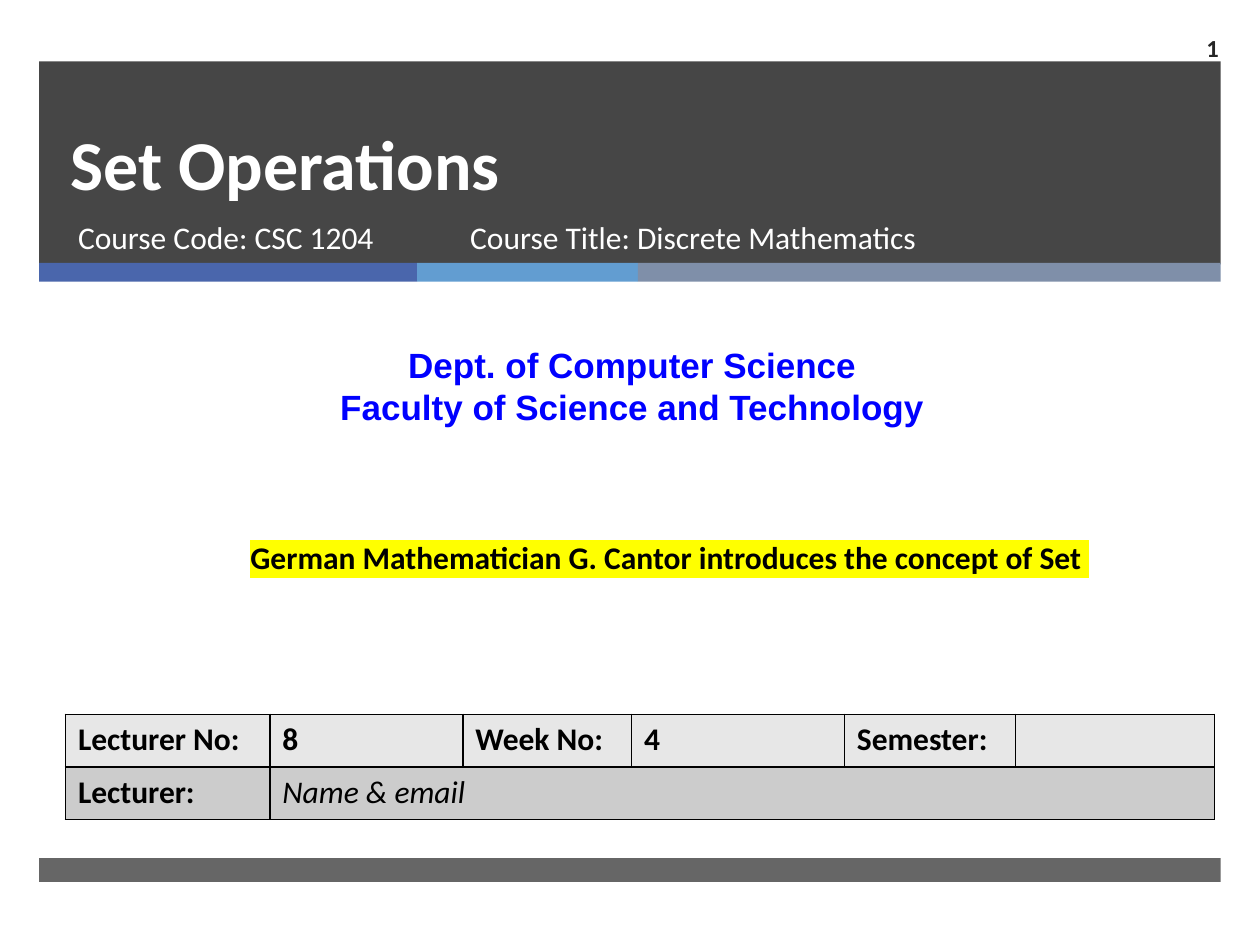
from lxml import etree
from pptx import Presentation
from pptx import util as u
from pptx.dml.color import RGBColor
from pptx.enum import shapes, text
from pptx.oxml import ns

WHITE = RGBColor(0xFF, 0xFF, 0xFF)
BLACK = RGBColor(0, 0, 0)
CHARCOAL = RGBColor(0x26, 0x26, 0x26)
INDIGO = RGBColor(0x4A, 0x66, 0xAC)
SKY = RGBColor(0x62, 0x9D, 0xD1)
SLATE = RGBColor(0x7F, 0x8F, 0xA9)
BLUE = RGBColor(0, 0, 0xFF)
YELLOW = RGBColor(0xFF, 0xFF, 0)
LIGHT_GREY = RGBColor(0xE7, 0xE7, 0xE7)
MID_GREY = RGBColor(0xCC, 0xCC, 0xCC)

LEFT, WIDTH = 0.79, 23.82


def add_xml(parent, tag, **attributes):
    return etree.SubElement(parent, ns.qn(tag), attributes)


class SlideBuilder:
    def __init__(self, slide, font="Calibri", size=18):
        self.slide = slide
        self.font = font
        self.size = size

    def style(self, paragraph, color, size=None, bold=False, italic=False,
              font=None, align=text.PP_ALIGN.LEFT):
        paragraph.alignment = align
        paragraph.space_before = u.Pt(0)
        paragraph.font.name = font or self.font
        paragraph.font.size = u.Pt(size or self.size)
        paragraph.font.bold = bold
        paragraph.font.italic = italic
        paragraph.font.color.rgb = color

    def bar(self, left, top, width, height, color, opacity=100):
        shape = self.slide.shapes.add_shape(
            shapes.MSO_SHAPE.RECTANGLE,
            u.Cm(left), u.Cm(top), u.Cm(width), u.Cm(height))
        shape.shadow.inherit = False
        shape.line.fill.background()
        shape.fill.solid()
        shape.fill.fore_color.rgb = color
        if opacity < 100:
            fill_color = shape._element.spPr.find(".//" + ns.qn("a:srgbClr"))
            add_xml(fill_color, "a:alpha", val=str(opacity * 1000))

    def fill_text(self, shape, lines, color, anchor=text.MSO_ANCHOR.TOP, **style):
        frame = shape.text_frame
        frame.auto_size = text.MSO_AUTO_SIZE.NONE
        frame.word_wrap = True
        frame.vertical_anchor = anchor
        frame.text = "\n".join(lines)
        for paragraph in frame.paragraphs:
            self.style(paragraph, color, **style)
        return frame

    def placeholder(self, shape, box, line, color, **style):
        shape.left, shape.top, shape.width, shape.height = map(u.Cm, box)
        # Appending again moves the placeholder in front of the bars
        self.slide.shapes._spTree.append(shape._element)
        return self.fill_text(shape, [line], color, **style)

    def text_box(self, box, lines, color, **style):
        shape = self.slide.shapes.add_textbox(*map(u.Cm, box))
        return self.fill_text(shape, lines, color, **style)

    def highlight(self, frame, color):
        for run in frame.paragraphs[0].runs:
            mark = add_xml(run._r.get_or_add_rPr(), "a:highlight")
            add_xml(mark, "a:srgbClr", val=str(color))

    def slide_number(self, box, **style):
        frame = self.text_box(box, [""], CHARCOAL, **style)
        field = add_xml(frame.paragraphs[0]._p, "a:fld", type="slidenum",
                        id="{B6F15528-21DE-4FAA-801E-634DDDAF4B2B}")
        add_xml(field, "a:rPr", lang="en-US")
        add_xml(field, "a:t").text = "1"

    def cell(self, cell, words, fill, **style):
        properties = cell._tc.get_or_add_tcPr()
        for side in ("a:lnL", "a:lnR", "a:lnT", "a:lnB"):
            border = add_xml(properties, side, w=str(u.Pt(1)))
            add_xml(add_xml(border, "a:solidFill"), "a:srgbClr", val=str(BLACK))
        cell.fill.solid()
        cell.fill.fore_color.rgb = fill
        cell.text = words
        self.style(cell.text_frame.paragraphs[0], BLACK, **style)

    def table(self, left, top, widths, row_height, rows, fills):
        table = self.slide.shapes.add_table(
            len(rows), len(widths), u.Cm(left), u.Cm(top),
            u.Cm(sum(widths)), u.Cm(row_height * len(rows))).table
        table.first_row = table.horz_banding = False
        for column, width in zip(table.columns, widths):
            column.width = u.Cm(width)
        for row_index, (row, fill) in enumerate(zip(rows, fills)):
            table.rows[row_index].height = u.Cm(row_height)
            for column_index, words in enumerate(row):
                self.cell(table.cell(row_index, column_index), words, fill, bold=True)
        return table


def main():
    presentation = Presentation()
    presentation.slide_width, presentation.slide_height = u.Cm(25.4), u.Cm(19.05)
    slide = presentation.slides.add_slide(presentation.slide_layouts[0])
    title, subtitle = slide.placeholders
    builder = SlideBuilder(slide)

    # Header band, three-colour strip and footer
    builder.bar(LEFT, 1.24, WIDTH, 4.09, CHARCOAL, 85)
    strip_left = LEFT
    for width, color in ((7.62, INDIGO), (4.45, SKY), (11.75, SLATE)):
        builder.bar(strip_left, 5.3, width, 0.38, color)
        strip_left += width
    builder.bar(LEFT, 17.3, WIDTH, 0.48, CHARCOAL, 70)

    # Title and course details
    heading = builder.placeholder(title, (1.17, 1.24, 21.69, 3.02), "Set Operations", WHITE,
                                  size=40, bold=True, anchor=text.MSO_ANCHOR.BOTTOM)
    heading.paragraphs[0].line_spacing = u.Pt(46)
    builder.placeholder(subtitle, (1.32, 4.27, 7.75, 1.35), "Course Code: CSC 1204", WHITE)
    builder.text_box((9.23, 4.27, 11.56, 1.35),
                     ["Course Title: Discrete Mathematics"], WHITE)

    # Department
    builder.text_box((0.21, 6.8, 25.07, 1.96),
                     ["Dept. of Computer Science", "Faculty of Science and Technology"],
                     BLUE, size=20, bold=True, font="Arial", align=text.PP_ALIGN.CENTER)

    # Lecture details
    table = builder.table(
        1.32, 14.4, (4.12, 3.89, 3.4, 4.29, 3.45, 4.01), 1.06,
        (("Lecturer No:", "8", "Week No:", "4", "Semester:", ""),
         ("Lecturer:", "Name & email", "", "", "", "")),
        (LIGHT_GREY, MID_GREY))
    contact = table.cell(1, 1)
    contact.merge(table.cell(1, 5))
    builder.style(contact.text_frame.paragraphs[0], BLACK, italic=True)

    # Slide number and highlighted remark
    builder.slide_number((23.07, 0.46, 1.75, 0.99), size=14, bold=True,
                         anchor=text.MSO_ANCHOR.MIDDLE, align=text.PP_ALIGN.RIGHT)
    remark = builder.text_box(
        (4.8, 10.73, 17.55, 1.02),
        ["German Mathematician G. Cantor introduces the concept of Set "],
        BLACK, bold=True)
    remark.word_wrap = False
    builder.highlight(remark, YELLOW)

    presentation.save("out.pptx")


if __name__ == "__main__":
    main()
